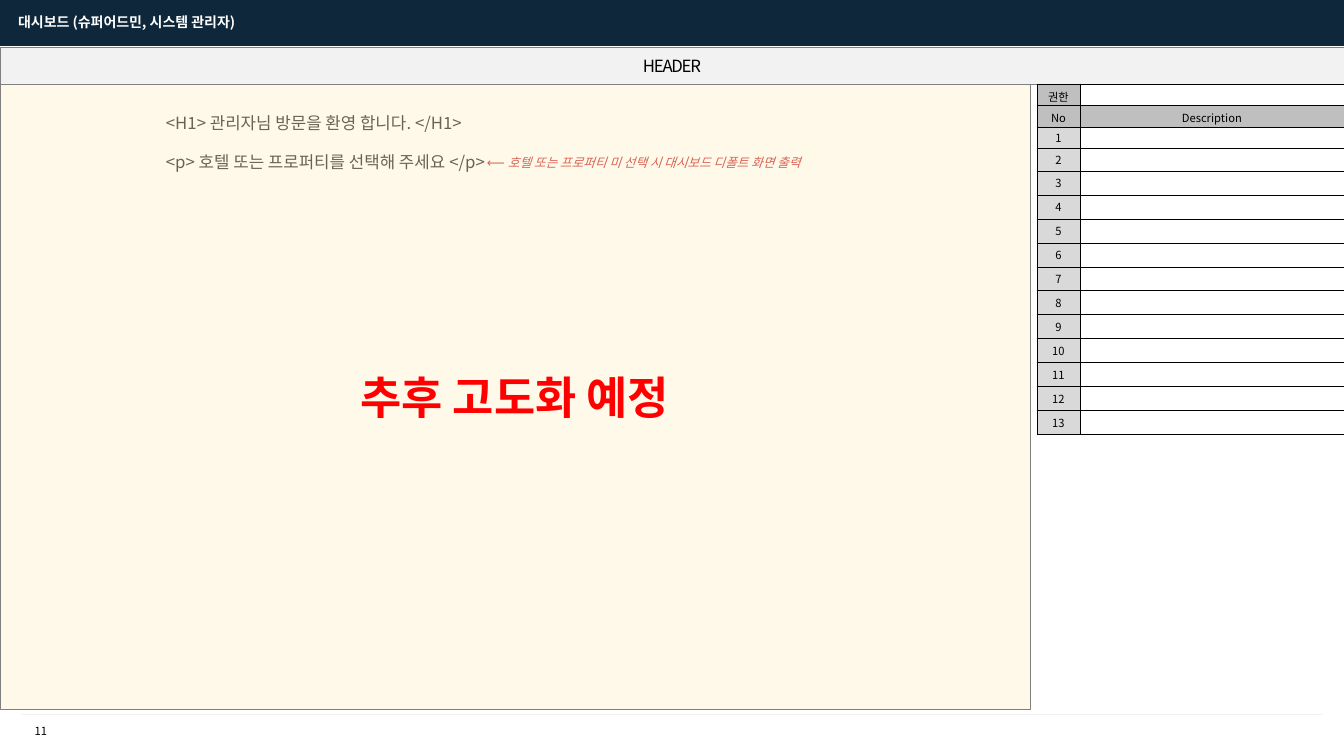
import pptx
import pptx.util
import pptx.dml.color
import pptx.enum.shapes
import pptx.enum.text
import pptx.oxml.ns
import lxml.etree

PX = 914400 / 100.8
FONT = "Noto Sans CJK KR"
qn = pptx.oxml.ns.qn
sub = lxml.etree.SubElement
ALIGN = pptx.enum.text.PP_ALIGN
ANCHOR = pptx.enum.text.MSO_ANCHOR
RECT = pptx.enum.shapes.MSO_SHAPE.RECTANGLE


def rgb(code):
    return pptx.dml.color.RGBColor.from_string(code)


def write(frame, text, size, color="000000", align=ALIGN.LEFT,
          anchor=ANCHOR.TOP, bold=False, italic=False):
    frame.text = text
    frame.vertical_anchor = anchor
    para = frame.paragraphs[0]
    para.alignment = align
    font = para.font
    font.size = pptx.util.Pt(size)
    font.bold = bold
    font.italic = italic
    font.color.rgb = rgb(color)
    font.name = FONT
    base = para._p.pPr.find(qn("a:defRPr"))
    base.set("kern", "0")
    sub(base, qn("a:ea")).set("typeface", FONT)
    if not text:
        sub(para._p, qn("a:endParaRPr")).set("sz", str(size * 100))


deck = pptx.Presentation()
deck.slide_width = round(1344 * PX)
deck.slide_height = round(756 * PX)
slide = deck.slides.add_slide(deck.slide_layouts[5])
shapes = slide.shapes

bands = []
for x, y, w, h, fill, edge in [
    (0, 0, 1344, 46, "0E273B", None),
    (0, 47, 1344, 37, "F2F2F2", "808080"),
    (0, 84, 1030, 625, "FFF2CC", "808080"),
]:
    band = shapes.add_shape(RECT, *[round(v * PX) for v in (x, y, w, h)])
    band.shadow.inherit = False
    band.fill.solid()
    band.fill.fore_color.rgb = rgb(fill)
    if edge:
        band.line.color.rgb = rgb(edge)
        band.line.width = pptx.util.Pt(0.25)
    else:
        band.line.fill.background()
    bands.append(band)
bar, head, body = bands

title = shapes.title
title.left, title.top, title.width, title.height = [
    round(v * PX) for v in (8, 8, 273, 27)]
write(title.text_frame, "대시보드 (슈퍼어드민, 시스템 관리자)", 10, "FFFFFF", bold=True)
title.text_frame.auto_size = pptx.enum.text.MSO_AUTO_SIZE.NONE
title.element.addprevious(bar.element)

write(head.text_frame, "HEADER", 12, align=ALIGN.CENTER, anchor=ANCHOR.MIDDLE)
head.text_frame.paragraphs[0].runs[0]._r.get_or_add_rPr().set("spc", "-90")

write(body.text_frame, "추후 고도화 예정", 32, "FF0000", ALIGN.CENTER, ANCHOR.MIDDLE, bold=True)
tint = body.fill._xPr.find(qn("a:solidFill")).find(qn("a:srgbClr"))
sub(tint, qn("a:alpha")).set("val", "41000")

rule = shapes.add_connector(
    pptx.enum.shapes.MSO_CONNECTOR.STRAIGHT,
    *[round(v * PX) for v in (21, 715, 1323, 715)])
rule.line.color.rgb = rgb("F2F2F2")
rule.line.width = pptx.util.Pt(0.75)
sub(rule.element.spPr, qn("a:effectLst"))

for x, y, w, h, text, size, color, align, wrap, italic in [
    (17, 719, 48, 24, "11", 8, "000000", ALIGN.CENTER, False, False),
    (156, 108, 330, 30, "<H1> 관리자님 방문을 환영 합니다. </H1>", 12, "000000",
     ALIGN.LEFT, False, False),
    (156, 147, 352, 30, "<p> 호텔 또는 프로퍼티를 선택해 주세요 </p>", 12, "000000",
     ALIGN.LEFT, False, False),
    (477, 150, 440, 25, "⟵ 호텔 또는 프로퍼티 미 선택 시 대시보드 디폴트 화면 출력", 9,
     "C00000", ALIGN.LEFT, True, True),
]:
    box = shapes.add_textbox(*[round(v * PX) for v in (x, y, w, h)])
    box.text_frame.word_wrap = wrap
    write(box.text_frame, text, size, color, align, italic=italic)
shapes.element.append(body.element)

rows = [("권한", ""), ("No", "Description")] + [(str(n), "") for n in range(1, 14)]
tall = [21, 22, 21, 23] + [24] * 11
grid = shapes.add_table(
    len(rows), 2, *[round(v * PX) for v in (1037, 84, 307, sum(tall))]).table
grid.first_row = False
grid.horz_banding = False
for col, wide in zip(grid.columns, (43, 264)):
    col.width = int(wide * PX)
for r, pair in enumerate(rows):
    grid.rows[r].height = round(tall[r] * PX)
    for c, text in enumerate(pair):
        cell = grid.cell(r, c)
        cell.margin_left = cell.margin_right = round(2 * PX)
        cell.margin_top = round((4 if r < 2 else 2) * PX)
        cell.margin_bottom = round((0 if r < 2 else 2) * PX)
        write(cell.text_frame, text, 8, align=ALIGN.CENTER)
        cell.vertical_anchor = ANCHOR.TOP if r < 2 else ANCHOR.MIDDLE
        prop = cell._tc.get_or_add_tcPr()
        for side in ("lnL", "lnR", "lnT", "lnB"):
            edge = sub(prop, qn("a:" + side))
            edge.set("w", "6350")
            ink = sub(edge, qn("a:solidFill"))
            sub(ink, qn("a:srgbClr")).set("val", "000000")
        if text:
            cell.fill.solid()
            cell.fill.fore_color.rgb = rgb("BFBFBF" if r < 2 else "D9D9D9")
        else:
            cell.fill.background()

deck.save("out.pptx")
